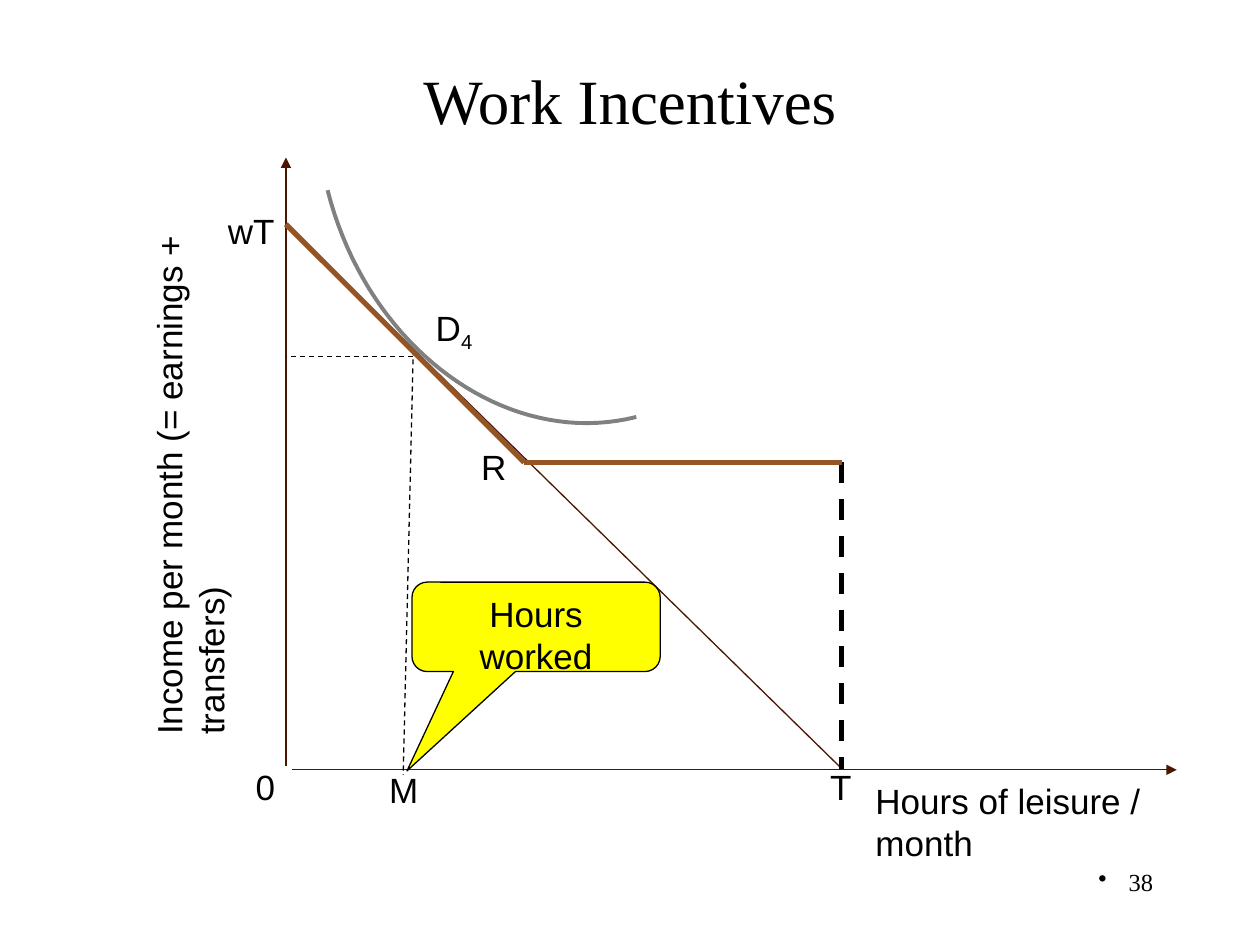
from lxml import etree
from pptx import Presentation
from pptx.dml.color import RGBColor
from pptx.enum.dml import MSO_LINE
from pptx.enum.shapes import MSO_CONNECTOR, MSO_SHAPE
from pptx.enum.text import MSO_ANCHOR, PP_ALIGN
from pptx.oxml.ns import qn
from pptx.util import Inches, Pt

DASH = MSO_LINE.DASH
STRAIGHT = MSO_CONNECTOR.STRAIGHT
CALLOUT = MSO_SHAPE.ROUNDED_RECTANGULAR_CALLOUT
CENTER, RIGHT = PP_ALIGN.CENTER, PP_ALIGN.RIGHT
TOP, MIDDLE = MSO_ANCHOR.TOP, MSO_ANCHOR.MIDDLE
SANS, SERIF = "Arial", "Times New Roman"
COLORS = {"text": "000000", "axis": "4B1500", "budget": "945424",
          "curve": "808080", "note": "FFFF00"}
HEX = {name: RGBColor.from_string(code) for name, code in COLORS.items()}

deck = Presentation()
deck.slide_width, deck.slide_height = Inches(10), Inches(7.5)
COL, ROW = deck.slide_width / 100, deck.slide_height / 75  # grid of 100 by 75
slide = deck.slides.add_slide(deck.slide_layouts[5])
shapes = slide.shapes


def grid(x, y):
    return round(x * COL), round(y * ROW)


def style(para, size=20, face=SANS, align=None):
    para.alignment = align
    for run in para.runs:
        run.font.size, run.font.name = Pt(size), face
        run.font.color.rgb = HEX["text"]


# Title
title = shapes.title
title.left, title.top = grid(7.5, 2.8)
title.width, title.height = grid(85, 10.2)
title.text_frame.text = "Work Incentives"
title.text_frame.vertical_anchor = MIDDLE
style(title.text_frame.paragraphs[0], 36, SERIF, CENTER)

# Key points of the graph
axis_x, axis_y = 22.7, 61.1
full = (axis_x, 17.8)
kink = (41.6, 36.7)
edge = (66.8, 36.7)
rest = (66.8, 61)
touch = (32.8, 28.3)

# Axes, budget line and guides: start, end, colour, width, dashed, arrow
lines = [
    ((axis_x, 60.8), (axis_x, 12.5), "axis", 0.75, False, True),
    ((23.2, axis_y), (93.4, axis_y), "axis", 0.75, False, True),
    (rest, full, "axis", 0.75, False, False),
    ((32.8, 27.8), (32, 61.5), "text", 0.75, True, False),
    (touch, (axis_x, 28.3), "text", 0.75, True, False),
    (edge, rest, "text", 3, True, False),
    (edge, kink, "budget", 3, False, False),
    (kink, full, "budget", 3, False, False),
]
for start, end, color, width, dashed, arrow in lines:
    link = shapes.add_connector(STRAIGHT, *grid(*start), *grid(*end))
    link.line.color.rgb = HEX[color]
    link.line.width = Pt(width)
    if dashed:
        link.line.dash_style = DASH
    if arrow:
        tip = etree.SubElement(link.line._get_or_add_ln(), qn("a:tailEnd"))
        tip.set("type", "triangle")
    etree.SubElement(link._element.spPr, qn("a:effectLst"))

# Indifference curve, traced along a cubic
bend = [(50.5, 33.1), (40.2, 35.7), (29.2, 27.7), (26, 15.1)]
steps = 40
trace = []
for step in range(steps + 1):
    t = step / steps
    parts = ((1 - t) ** 3, 3 * t * (1 - t) ** 2, 3 * t ** 2 * (1 - t), t ** 3)
    trace.append(grid(*(sum(p * k for p, k in zip(parts, axis))
                        for axis in zip(*bend))))
path = shapes.build_freeform(*trace[0])
path.add_line_segments(trace[1:], close=False)
curve = path.convert_to_shape()
curve.fill.background()
curve.line.color.rgb = HEX["curve"]
curve.line.width = Pt(2.25)
curve.shadow.inherit = False

# Labels: text, subscript, left, top, width, turn, wrap
labels = [
    ("Hours of leisure / month", "", 68.5, 61.4, 31, 0, True),
    ("Income per month (= earnings + transfers)", "", -13.6, 30.2, 53.9, 270, True),
    ("0", "", 19.3, 60.3, 3.6, 0, False),
    ("T", "", 64.9, 60.3, 3.7, 0, False),
    ("wT", "", 17.1, 16.1, 5.8, 0, False),
    ("M", "", 29.9, 60.5, 4.3, 0, False),
    ("R", "", 37.2, 34.9, 4, 0, False),
    ("D", "4", 33.6, 23.8, 5.1, 0, False),
]
for text, sub, left, top, width, turn, wrap in labels:
    box = shapes.add_textbox(*grid(left, top), *grid(width, 4.3))
    box.rotation = turn
    box.text_frame.word_wrap = wrap
    para = box.text_frame.paragraphs[0]
    para.text = text
    if sub:
        low = para.add_run()
        low.text = sub
        low.font._element.set("baseline", "-25000")
    style(para)

# Callout
note = shapes.add_shape(CALLOUT, *grid(32.7, 46.2), *grid(19.7, 7.1))
for index, value in enumerate((-0.52, 1.61, 0.17)):
    note.adjustments[index] = value
note.shadow.inherit = False
note.fill.solid()
note.fill.fore_color.rgb = HEX["note"]
note.line.color.rgb = HEX["text"]
note.line.width = Pt(0.75)
note.text_frame.word_wrap = True
note.text_frame.vertical_anchor = TOP
note.text_frame.text = "Hours worked"
style(note.text_frame.paragraphs[0], align=CENTER)

# Page number with its bullet
page = shapes.add_textbox(*grid(71.7, 68.3), *grid(20.8, 5))
page.text_frame.word_wrap = True
para = page.text_frame.paragraphs[0]
para.text = "38"
props = para._p.get_or_add_pPr()
props.set("marL", str(Inches(0.24)))
props.set("indent", str(-Inches(0.24)))
etree.SubElement(props, qn("a:buChar")).set("char", "•")
style(para, 14, SERIF, RIGHT)

deck.save("out.pptx")
